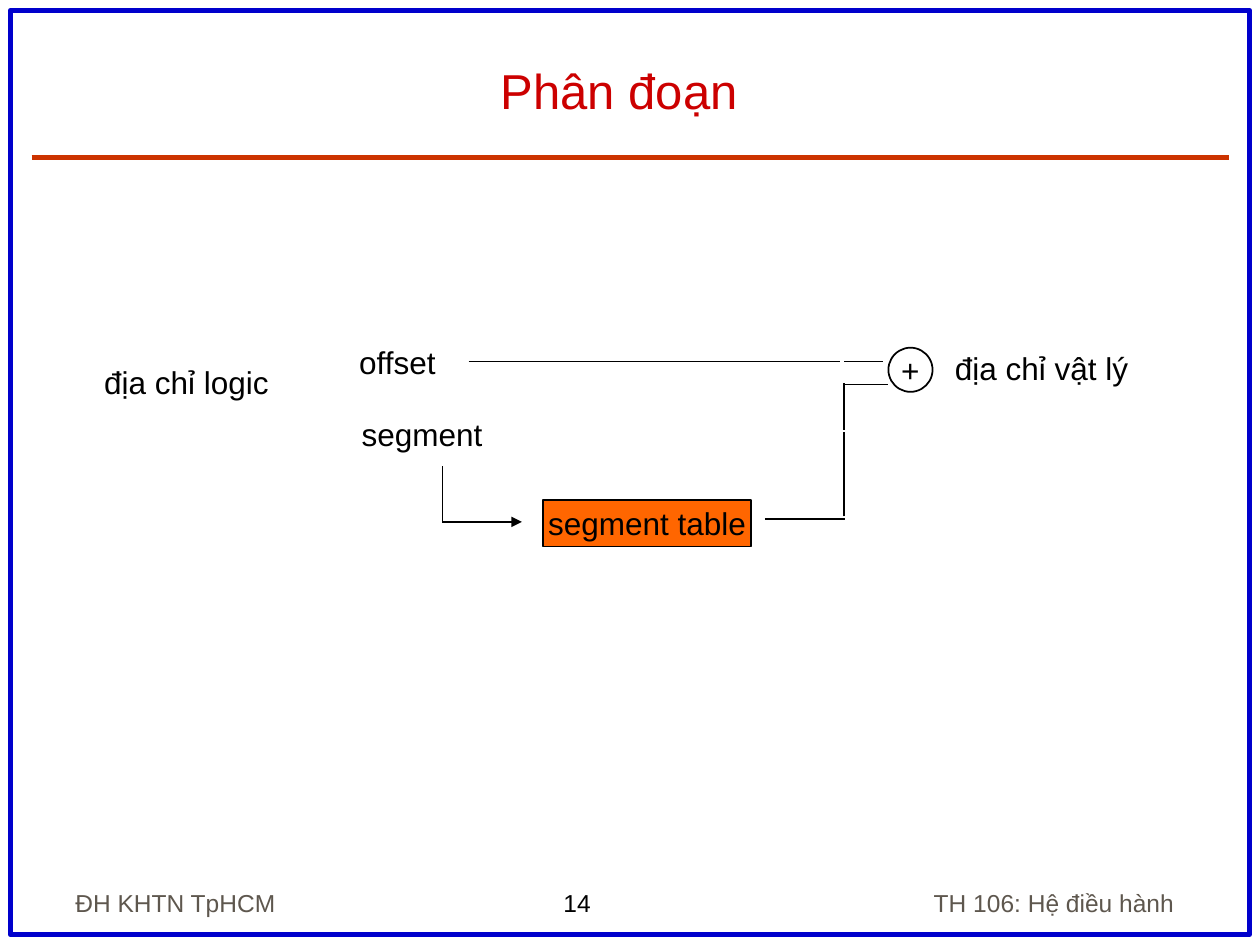
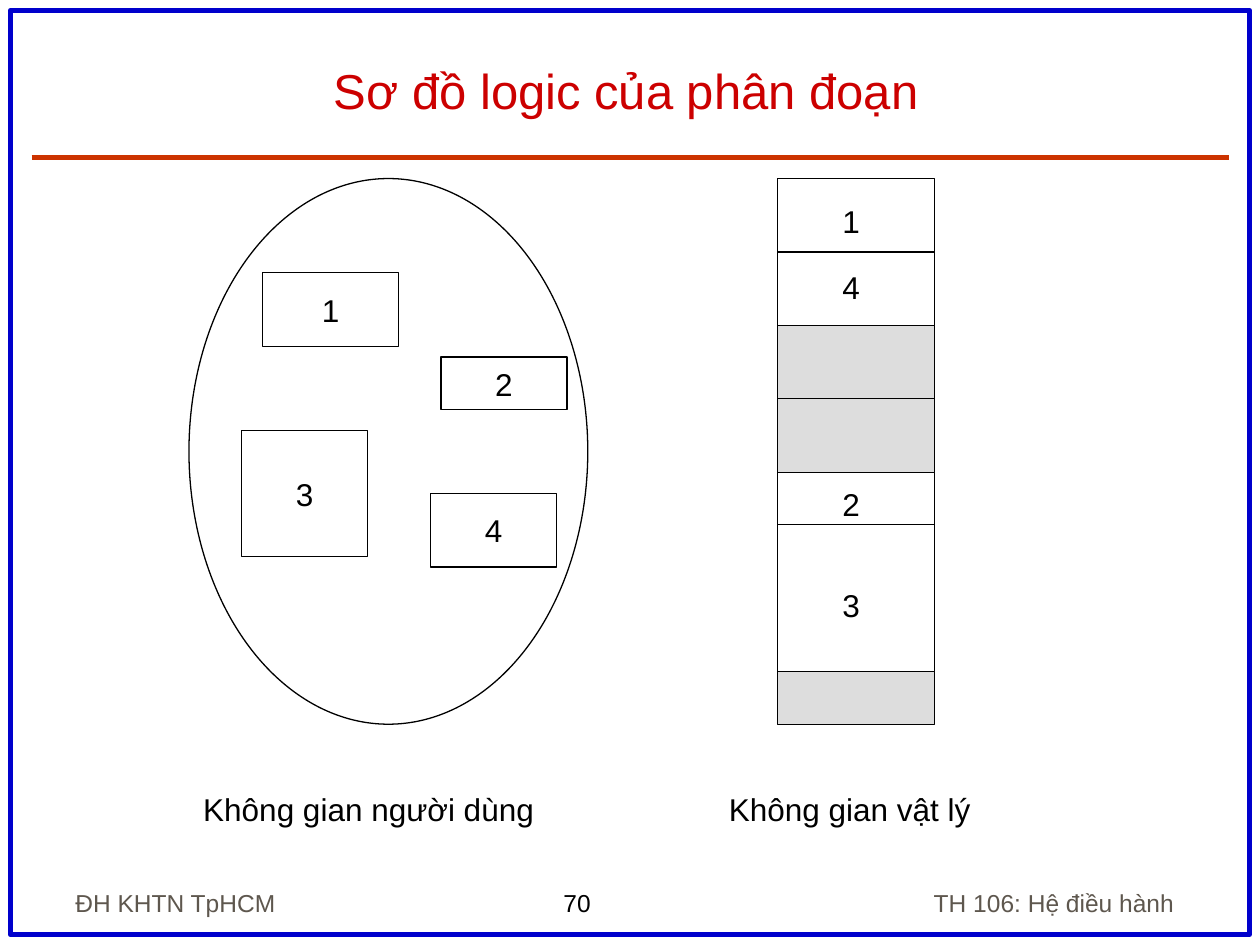
from dataclasses import dataclass
from typing import Optional

from lxml import etree
from pptx import Presentation
from pptx import util as u
from pptx.dml import color
from pptx.enum import shapes, text
from pptx.oxml import ns

COLOURS = {
    "frame": "0000CC", "rule": "CC3300", "title": "CC0000", "footer": "5E574E",
    "ink": "000000", "paper": "FFFFFF", "table": "FF6600", "occupied": "DDDDDD",
}
FONT = "Arial"
LEFT, CENTRE, RIGHT = text.PP_ALIGN.LEFT, text.PP_ALIGN.CENTER, text.PP_ALIGN.RIGHT
TOP, MIDDLE, BOTTOM = text.MSO_ANCHOR.TOP, text.MSO_ANCHOR.MIDDLE, text.MSO_ANCHOR.BOTTOM
RECT, OVAL = shapes.MSO_SHAPE.RECTANGLE, shapes.MSO_SHAPE.OVAL
LABEL_HEIGHT = 1.02
MEMORY_LEFT, MEMORY_TOP, MEMORY_WIDTH = 15.67, 3.6, 3.17


@dataclass
class Label:
    words: str
    left: float
    top: float
    width: float


@dataclass
class Block:
    left: float
    top: float
    width: float
    height: float
    words: str = ""
    fill: Optional[str] = "paper"
    kind: shapes.MSO_SHAPE = RECT
    line: str = "ink"
    weight: float = 0.75


@dataclass
class Wire:
    x1: float
    y1: float
    x2: float
    y2: float
    colour: str = "ink"
    weight: float = 1
    arrow: bool = False


@dataclass
class Zone:
    height: float
    fill: str
    split: Optional[float] = None


def rgb(name: str) -> color.RGBColor:
    return color.RGBColor.from_string(COLOURS[name])


def write(frame, words: str, *, size: float = 18, colour: str = "ink",
          align=LEFT, anchor=TOP, wrap: bool = False) -> None:
    frame.word_wrap = wrap
    frame.auto_size = text.MSO_AUTO_SIZE.NONE
    frame.vertical_anchor = anchor
    frame.margin_left = frame.margin_right = u.Cm(0.25)
    frame.margin_top = frame.margin_bottom = u.Cm(0.13)
    paragraph = frame.paragraphs[0]
    paragraph.alignment = align
    run = paragraph.add_run()
    run.text = words
    run.font.name = FONT
    run.font.size = u.Pt(size)
    run.font.color.rgb = rgb(colour)


def add_label(slide, label: Label, height: float = LABEL_HEIGHT, **style) -> None:
    box = slide.shapes.add_textbox(
        u.Cm(label.left), u.Cm(label.top), u.Cm(label.width), u.Cm(height))
    write(box.text_frame, label.words, **style)


def add_block(slide, block: Block) -> None:
    shape = slide.shapes.add_shape(
        block.kind, u.Cm(block.left), u.Cm(block.top), u.Cm(block.width), u.Cm(block.height))
    shape.shadow.inherit = False
    if block.fill:
        shape.fill.solid()
        shape.fill.fore_color.rgb = rgb(block.fill)
    else:
        shape.fill.background()
    shape.line.color.rgb = rgb(block.line)
    shape.line.width = u.Pt(block.weight)
    if block.words:
        write(shape.text_frame, block.words, align=CENTRE, anchor=MIDDLE)


def add_wire(slide, wire: Wire) -> None:
    line = slide.shapes.add_connector(
        shapes.MSO_CONNECTOR.STRAIGHT,
        u.Cm(wire.x1), u.Cm(wire.y1), u.Cm(wire.x2), u.Cm(wire.y2))
    line.line.color.rgb = rgb(wire.colour)
    line.line.width = u.Pt(wire.weight)
    if wire.arrow:
        etree.SubElement(line.line._get_or_add_ln(), ns.qn("a:tailEnd"), type="triangle")
    etree.SubElement(line._element.spPr, ns.qn("a:effectLst"))


def start_slide(deck, title: str, number: str):
    slide = deck.slides.add_slide(deck.slide_layouts[5])
    add_block(slide, Block(0.21, 0.21, 24.98, 18.63, fill=None, line="frame", weight=3))
    add_wire(slide, Wire(0.64, 3.17, 24.77, 3.17, "rule", 3))
    heading = slide.shapes.title
    heading.left, heading.top = u.Cm(1.11), u.Cm(0.64)
    heading.width, heading.height = u.Cm(23.02), u.Cm(1.9)
    write(heading.text_frame, title, size=28, colour="title",
          align=CENTRE, anchor=BOTTOM, wrap=True)
    add_label(slide, Label(number, 11.11, 17.78, 2.78), 0.86, size=14, wrap=True)
    for label, align in ((Label("ĐH KHTN TpHCM", 1.27, 17.36, 5.29), LEFT),
                         (Label("TH 106: Hệ điều hành", 16.93, 17.36, 6.99), RIGHT)):
        add_label(slide, label, 1.27, size=14, colour="footer",
                  align=align, anchor=BOTTOM, wrap=True)
    return slide


def build_address_translation(deck) -> None:
    slide = start_slide(deck, "Phân đoạn ", "14")
    for label in (
        Label("địa chỉ logic", 1.85, 7.19, 3.81),
        Label("offset", 6.99, 6.78, 2.06),
        Label("segment", 7.04, 8.23, 3.12),
        Label("địa chỉ vật lý", 19.0, 6.91, 3.99),
    ):
        add_label(slide, label)
    add_block(slide, Block(10.95, 10.08, 4.19, 0.94, "segment table", "table", weight=1))
    add_block(slide, Block(17.91, 7.01, 0.89, 0.89, "+", None, OVAL, weight=1))
    for wire in (
        Wire(8.92, 9.4, 8.92, 10.54),
        Wire(8.92, 10.52, 10.52, 10.52, arrow=True),
        Wire(9.45, 7.29, 16.94, 7.29),
        Wire(17.02, 7.29, 17.81, 7.29),
        Wire(15.42, 10.46, 17.04, 10.46),
        Wire(17.02, 10.41, 17.02, 8.71),
        Wire(17.02, 8.66, 17.02, 7.72),
        Wire(17.02, 7.75, 17.91, 7.75),
    ):
        add_wire(slide, wire)


def add_physical_memory(slide) -> None:
    right = MEMORY_LEFT + MEMORY_WIDTH
    top = MEMORY_TOP
    for zone in (
        Zone(2.96, "paper", 1.48),
        Zone(2.96, "occupied", 1.48),
        Zone(4.02, "paper", 1.06),
        Zone(1.06, "occupied"),
    ):
        add_block(slide, Block(MEMORY_LEFT, top, MEMORY_WIDTH, zone.height, fill=zone.fill))
        if zone.split:
            split = top + zone.split
            add_wire(slide, Wire(MEMORY_LEFT, split, right, split, weight=0.75))
        top += zone.height
    for segment, label_top in (("1", 3.94), ("4", 5.28), ("2", 9.65), ("3", 11.68)):
        add_label(slide, Label(segment, 16.73, label_top, 0.86), align=CENTRE, anchor=MIDDLE)


def build_logical_view(deck) -> None:
    slide = start_slide(deck, "Sơ đồ logic của phân đoạn", "70")
    for caption in (Label("Không gian người dùng ", 3.89, 15.8, 7.26),
                    Label("Không gian vật lý", 14.45, 15.8, 5.36)):
        add_label(slide, caption, align=CENTRE, anchor=MIDDLE)
    for block in (
        Block(3.81, 3.6, 8.04, 11.0, kind=OVAL),
        Block(5.29, 5.5, 2.75, 1.48, "1"),
        Block(4.87, 8.68, 2.54, 2.54, "3"),
        Block(8.89, 7.2, 2.54, 1.06, "2"),
        Block(8.68, 9.95, 2.54, 1.48, "4"),
    ):
        add_block(slide, block)
    add_physical_memory(slide)


def main() -> None:
    deck = Presentation()
    deck.slide_width, deck.slide_height = u.Cm(25.4), u.Cm(19.05)
    build_address_translation(deck)
    build_logical_view(deck)
    deck.save("out.pptx")


if __name__ == "__main__":
    main()
